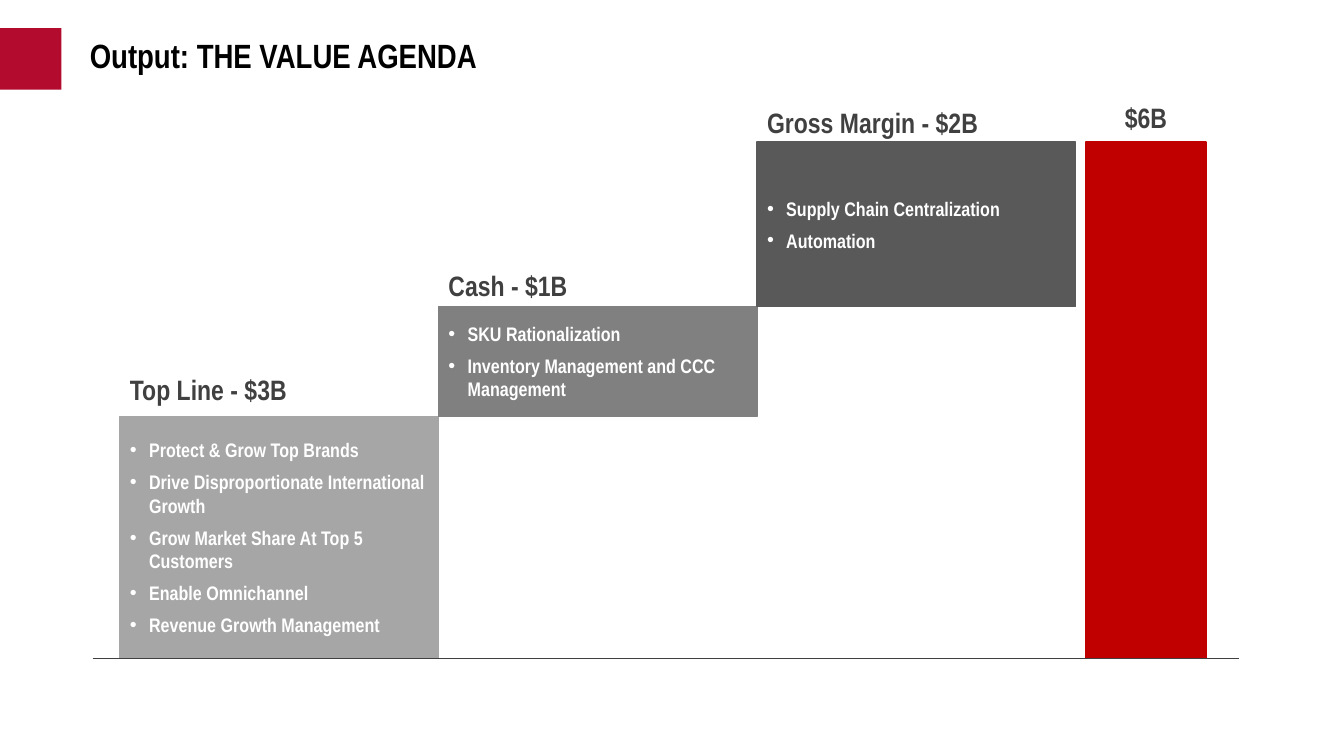
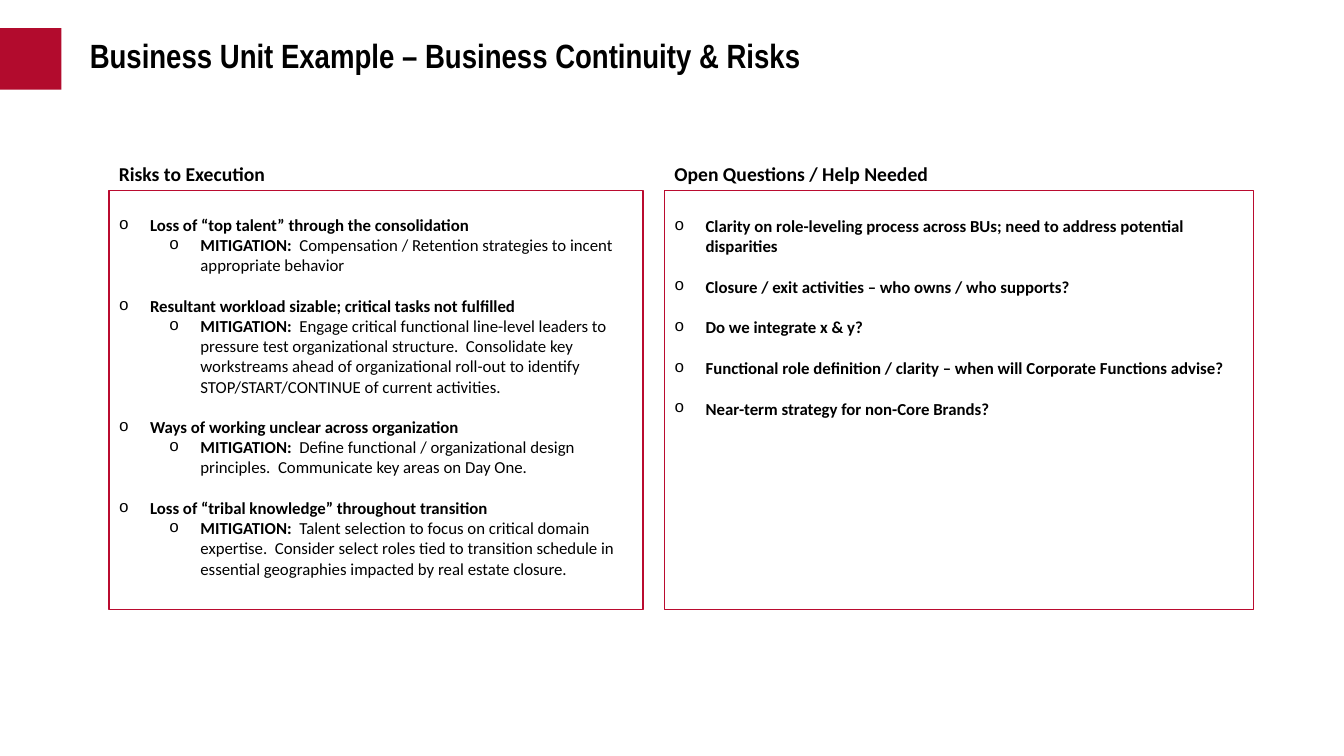
"""Build the value agenda and business continuity slides."""
from lxml import etree
from pptx import Presentation
from pptx.dml.color import RGBColor
from pptx.enum import shapes, text
from pptx.oxml import ns
from pptx.util import Inches, Pt

BLACK = RGBColor(0x00, 0x00, 0x00)
WHITE = RGBColor(0xFF, 0xFF, 0xFF)
CHARCOAL = RGBColor(0x40, 0x40, 0x40)
CRIMSON = RGBColor(0xB2, 0x0B, 0x2D)
FRAME_RED = RGBColor(0xBA, 0x0B, 0x2F)
TOTAL_RED = RGBColor(0xC0, 0x00, 0x00)
LIGHT_GREY = RGBColor(0xA6, 0xA6, 0xA6)
MID_GREY = RGBColor(0x80, 0x80, 0x80)
DARK_GREY = RGBColor(0x59, 0x59, 0x59)

TITLE = {"name": "Arial Narrow", "size": Pt(24), "bold": True, "color": BLACK}
BAR_LABEL = {**TITLE, "size": Pt(20), "color": CHARCOAL}
BAR_ITEM = {**TITLE, "size": Pt(14), "color": WHITE}
PANEL_HEADING = {"name": "Calibri", "size": Pt(14), "bold": True, "color": BLACK}
PANEL_ITEM = {**PANEL_HEADING, "size": Pt(12)}
PANEL_DETAIL = {**PANEL_ITEM, "bold": False}

LEFT = text.PP_ALIGN.LEFT
CENTER = text.PP_ALIGN.CENTER
TOP = text.MSO_ANCHOR.TOP
MIDDLE = text.MSO_ANCHOR.MIDDLE

BASELINE = 6.53
BAR_LEFT, BAR_WIDTH = 1.19, 3.16
TOTAL_LEFT, TOTAL_WIDTH = 10.77, 1.19
LABEL_HEIGHT = 0.36
PANEL_TOP, PANEL_HEIGHT = 1.89, 4.16
HEADING_TOP, HEADING_HEIGHT = 1.56, 0.28
PANEL_GAP = Pt(14.6)

BARS = [
    ("Top Line - $3B", 2.4, 0.45, LIGHT_GREY, [
        "Protect & Grow Top Brands",
        "Drive Disproportionate International Growth",
        "Grow Market Share At Top 5 Customers",
        "Enable Omnichannel",
        "Revenue Growth Management",
    ]),
    ("Cash - $1B", 1.09, 0.39, MID_GREY, [
        "SKU Rationalization",
        "Inventory Management and CCC Management",
    ]),
    ("Gross Margin - $2B", 1.63, 0.38, DARK_GREY, [
        "Supply Chain Centralization",
        "Automation",
    ]),
]

RISKS = [
    ("Loss of “top talent” through the consolidation",
     "Compensation / Retention strategies to incent appropriate behavior"),
    ("Resultant workload sizable; critical tasks not fulfilled",
     "Engage critical functional line-level leaders to pressure test organizational "
     "structure.  Consolidate key workstreams ahead of organizational roll-out to "
     "identify STOP/START/CONTINUE of current activities."),
    ("Ways of working unclear across organization",
     "Define functional / organizational design principles.  "
     "Communicate key areas on Day One."),
    ("Loss of “tribal knowledge” throughout transition",
     "Talent selection to focus on critical domain expertise.  Consider select roles "
     "tied to transition schedule in essential geographies impacted by real estate "
     "closure."),
]

QUESTIONS = [
    ("Clarity on role-leveling process across BUs; need to address potential "
     "disparities", None),
    ("Closure / exit activities – who owns / who supports?", None),
    ("Do we integrate x & y?", None),
    ("Functional role definition / clarity – when will Corporate Functions advise?",
     None),
    ("Near-term strategy for non-Core Brands?", None),
]

PANELS = [
    ("Risks to Execution", 1.08, 5.3, 0.24, RISKS),
    ("Open Questions / Help Needed", 6.59, 5.84, 0.25, QUESTIONS),
]


def inches(*lengths):
    """Return the lengths as Inches."""
    return [Inches(length) for length in lengths]


def set_all(target, values):
    """Set each named attribute of the target."""
    for name, value in values.items():
        setattr(target, name, value)


def add_span(para, words, style):
    """Add a run with the given font style."""
    span = para.add_run()
    span.text = words
    set_all(span.font, {key: value for key, value in style.items() if key != "color"})
    span.font.color.rgb = style["color"]


def add_para(frame, spans, **spacing):
    """Fill the first empty paragraph or add one, with styled runs."""
    para = frame.paragraphs[0]
    if para.runs:
        para = frame.add_paragraph()
    set_all(para, {"alignment": LEFT, **spacing})
    for words, style in spans:
        add_span(para, words, style)
    return para


def add_bullet(para, char, typeface, margin, hanging):
    """Give a paragraph a bullet and a hanging indent."""
    properties = para._p.get_or_add_pPr()
    properties.set("marL", str(Inches(margin)))
    properties.set("indent", str(-Inches(hanging)))
    etree.SubElement(properties, ns.qn("a:buFont")).set("typeface", typeface)
    etree.SubElement(properties, ns.qn("a:buChar")).set("char", char)


def add_box(page, place, fill, line=None):
    """Add a flat rectangle, with an outline if a line colour is given."""
    box = page.shapes.add_shape(shapes.MSO_SHAPE.RECTANGLE, *inches(*place))
    box.shadow.inherit = False
    box.fill.solid()
    box.fill.fore_color.rgb = fill
    if line is None:
        box.line.fill.background()
    else:
        box.line.color.rgb = line
        box.line.width = Pt(1)
    box.text_frame.word_wrap = True
    return box


def add_label(page, place, words, style, alignment=LEFT, anchor=MIDDLE):
    """Add a one-line text box."""
    frame = page.shapes.add_textbox(*inches(*place)).text_frame
    set_all(frame, {"word_wrap": True, "vertical_anchor": anchor})
    add_para(frame, [(words, style)], alignment=alignment)


def add_axis(page):
    """Draw the baseline under the bars."""
    axis = page.shapes.add_connector(
        shapes.MSO_CONNECTOR.STRAIGHT, *inches(0.92, BASELINE, 12.29, BASELINE))
    axis.line.color.rgb = CHARCOAL
    axis.line.width = Pt(0.5)
    etree.SubElement(axis.element.spPr, ns.qn("a:effectLst"))


def add_bar(page, place, label_gap, label, color, items):
    """Add one step of the waterfall with its label and bullets."""
    left, top, width, _ = place
    frame = add_box(page, place, color, color).text_frame
    set_all(frame, {"vertical_anchor": MIDDLE, "margin_right": Inches(0.03)})
    for item in items:
        para = add_para(frame, [(item, BAR_ITEM)], space_after=Pt(6))
        add_bullet(para, "•", "Arial", 0.19, 0.19)
    add_label(page, (left, top - label_gap, width, LABEL_HEIGHT), label, BAR_LABEL)


def add_panel(page, heading, left, width, inset, entries):
    """Add a framed list of points, each with an optional mitigation."""
    frame = add_box(page, (left, PANEL_TOP, width, PANEL_HEIGHT),
                    WHITE, FRAME_RED).text_frame
    set_all(frame, {"vertical_anchor": TOP, "margin_top": Inches(inset)})
    for index, (point, mitigation) in enumerate(entries):
        para = add_para(frame, [(point, PANEL_ITEM)],
                        space_before=PANEL_GAP if index else Pt(0))
        add_bullet(para, "o", "Courier New", 0.31, 0.31)
        if mitigation:
            spans = [("MITIGATION:  ", PANEL_ITEM), (mitigation, PANEL_DETAIL)]
            add_bullet(add_para(frame, spans, level=1), "o", "Courier New", 0.81, 0.31)
    add_label(page, (left, HEADING_TOP, width, HEADING_HEIGHT),
              heading, PANEL_HEADING, anchor=TOP)


def add_page(deck, layout, title):
    """Add a slide with its title."""
    page = deck.slides.add_slide(layout)
    frame = page.shapes.title.text_frame
    set_all(frame, {"vertical_anchor": TOP, "word_wrap": True,
                    "auto_size": text.MSO_AUTO_SIZE.NONE})
    add_para(frame, [(title, TITLE)], line_spacing=0.9)
    return page


def style_layout(layout, page):
    """Place the title and the crimson band on the shared layout."""
    title = next(item for item in layout.placeholders
                 if item.placeholder_format.type == shapes.PP_PLACEHOLDER.TITLE)
    sides = ("left", "top", "width", "height")
    set_all(title, dict(zip(sides, inches(0.79, 0.34, 12.36, 0.5))))
    band = add_box(page, (0, 0.28, 0.61, 0.61), CRIMSON)
    layout.shapes.element.append(band.element)


def fill_agenda(page):
    """Draw the stepped bars, the total and the baseline."""
    top = BASELINE
    for index, (label, height, gap, color, items) in enumerate(BARS):
        top -= height
        place = (BAR_LEFT + index * BAR_WIDTH, top, BAR_WIDTH, height)
        add_bar(page, place, gap, label, color, items)
    add_box(page, (TOTAL_LEFT, top, TOTAL_WIDTH, BASELINE - top), TOTAL_RED, TOTAL_RED)
    add_label(page, (TOTAL_LEFT, top - 0.43, TOTAL_WIDTH, LABEL_HEIGHT),
              "$6B", BAR_LABEL, CENTER)
    add_axis(page)


def main():
    """Build and save the deck."""
    deck = Presentation()
    deck.slide_width, deck.slide_height = inches(13.33, 7.5)
    layout = deck.slide_layouts.get_by_name("Title Only")
    agenda = add_page(deck, layout, "Output: THE VALUE AGENDA")
    style_layout(layout, agenda)
    fill_agenda(agenda)
    risks = add_page(deck, layout, "Business Unit Example – Business Continuity & Risks")
    for panel in PANELS:
        add_panel(risks, *panel)
    deck.save("out.pptx")


if __name__ == "__main__":
    main()
